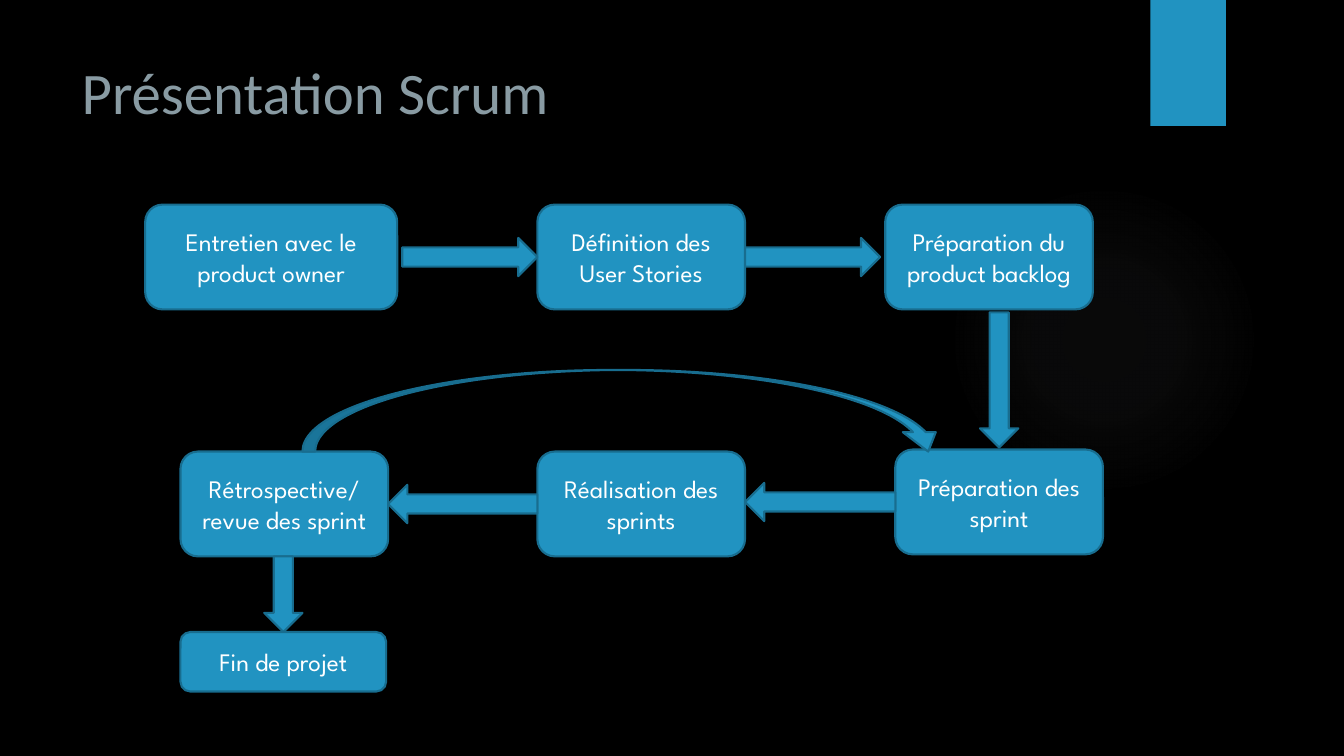
from lxml import etree
from pptx import Presentation, util as u
from pptx.dml.color import RGBColor
from pptx.enum import shapes, text

TITLE = "Présentation Scrum"
BLACK = RGBColor(0x00, 0x00, 0x00)
WHITE = RGBColor(0xFF, 0xFF, 0xFF)
GREY = RGBColor(0x89, 0x9B, 0xA3)
BLUE = RGBColor(0x21, 0x93, 0xC1)
DARK_BLUE = RGBColor(0x18, 0x6D, 0x8F)

WIDTH, HEIGHT = 13.33, 7.5
TOP_ROW, LOOP_ROW, END_ROW = 2.03, 4.48, 6.27
STEP_W, STEP_H = 2.06, 1.04
ARROW = 0.38

# step: (wording, left, top, width, height)
STEPS = {
    "interview": ("Entretien avec le product owner", 1.44, TOP_ROW, 2.5, STEP_H),
    "stories": ("Définition des User Stories", 5.33, TOP_ROW, STEP_W, STEP_H),
    "backlog": ("Préparation du product backlog", 8.78, TOP_ROW, STEP_W, STEP_H),
    "planning": ("Préparation des sprint", 8.88, LOOP_ROW - 0.02, STEP_W, STEP_H),
    "sprints": ("Réalisation des sprints", 5.33, LOOP_ROW, STEP_W, STEP_H),
    "review": ("Rétrospective/revue des sprint", 1.79, LOOP_ROW, STEP_W, STEP_H),
    "end": ("Fin de projet", 1.79, END_ROW, 2.04, 0.59),
}
# (from, to, direction, gap before, gap after)
FLOW = [
    ("interview", "stories", "right", 0.05, 0),
    ("stories", "backlog", "right", 0, 0.05),
    ("backlog", "planning", "down", 0.03, 0.02),
    ("planning", "sprints", "left", 0, 0),
    ("sprints", "review", "left", 0, 0),
    ("review", "end", "down", 0, 0),
]
ARROWS = {
    "right": shapes.MSO_SHAPE.RIGHT_ARROW,
    "left": shapes.MSO_SHAPE.LEFT_ARROW,
    "down": shapes.MSO_SHAPE.DOWN_ARROW,
}
GLOW_STOPS = [(0, 7), (36, 6), (69, 0)]  # position and opacity, per cent
DRAWING = "http://schemas.openxmlformats.org/drawingml/2006/main"


def apply(target, formats):
    """Set every attribute named in a dict of format values."""
    for name, value in formats.items():
        setattr(target, name, value)


def write(shape, wording, frame_format, font_format, color):
    """Put one formatted paragraph into a shape and return it."""
    frame = shape.text_frame
    frame.text = wording
    apply(frame, {"word_wrap": True, **frame_format})
    para = frame.paragraphs[0]
    apply(para.runs[0].font, font_format)
    para.runs[0].font.color.rgb = color
    return para


def add_block(page, kind, left, top, width, height, outlined=True):
    """Add a blue preset shape, with a dark outline if wanted."""
    block = page.shapes.add_shape(kind, *map(u.Inches, (left, top, width, height)))
    block.shadow.inherit = False
    block.fill.solid()
    block.fill.fore_color.rgb = BLUE
    if outlined:
        block.line.color.rgb = DARK_BLUE
        block.line.width = u.Pt(1.5)
    else:
        block.line.fill.background()
    return block


def add_glow(page, left, top, size):
    """Add a faint round glow that fades towards its edge."""
    glow = add_block(page, shapes.MSO_SHAPE.OVAL, left, top, size, size, False)
    stops = "".join(
        f'<a:gs pos="{pos * 1000}"><a:srgbClr val="818688">'
        f'<a:alpha val="{alpha * 1000}"/></a:srgbClr></a:gs>'
        for pos, alpha in GLOW_STOPS)
    middle = " ".join(f'{side}="50000"' for side in "ltrb")
    gradient = etree.fromstring(
        f'<a:gradFill xmlns:a="{DRAWING}"><a:gsLst>{stops}</a:gsLst>'
        f'<a:path path="circle"><a:fillToRect {middle}/></a:path></a:gradFill>')
    properties = glow.element.spPr
    properties.replace(properties.find(f"{{{DRAWING}}}solidFill"), gradient)


def add_step(page, wording, *place):
    """Add a rounded box with its centred wording."""
    box = add_block(page, shapes.MSO_SHAPE.ROUNDED_RECTANGLE, *place)
    para = write(box, wording, {"vertical_anchor": text.MSO_ANCHOR.MIDDLE},
                 {"name": "League Spartan", "size": u.Pt(18)}, WHITE)
    para.alignment = text.PP_ALIGN.CENTER


def add_flow(page, source, target, direction, before, after):
    """Fill the space between two steps with a block arrow."""
    _, left, top, width, height = STEPS[source]
    _, to_left, to_top, to_width, to_height = STEPS[target]
    if direction == "down":
        start, stop = top + height + before, to_top - after
        place = (to_left + (to_width - ARROW) / 2, start, ARROW, stop - start)
    else:
        if direction == "right":
            start, stop = left + width + before, to_left - after
        else:
            start, stop = to_left + to_width + after, left - before
        middle = min(top + height / 2, to_top + to_height / 2)
        place = (start, middle - ARROW / 2, stop - start, ARROW)
    add_block(page, ARROWS[direction], *place)


deck = Presentation()
apply(deck, {"slide_width": u.Inches(WIDTH), "slide_height": u.Inches(HEIGHT)})
page = deck.slides.add_slide(deck.slide_layouts[5])
page.background.fill.solid()
page.background.fill.fore_color.rgb = BLACK

add_glow(page, 9.41, 1.83, 3.08)
add_block(page, shapes.MSO_SHAPE.RECTANGLE, 11.41, 0, 0.75, HEIGHT / 6, False)

title = page.shapes.title
apply(title, {"left": u.Inches(0.71), "top": u.Inches(0.5),
              "width": u.Inches(10.29), "height": u.Inches(1.53)})
heading = write(title, TITLE, {"vertical_anchor": text.MSO_ANCHOR.TOP},
                {"name": "Calibri", "size": u.Pt(42)}, GREY)
heading.alignment = text.PP_ALIGN.LEFT

for step in STEPS.values():
    add_step(page, *step)
for link in FLOW:
    add_flow(page, *link)

loop = add_block(page, shapes.MSO_SHAPE.CURVED_DOWN_ARROW,
                 3, LOOP_ROW - 0.81, 6.37, 0.81)
for index, share in enumerate((0.156, 0.404, 0.238)):
    loop.adjustments[index] = share

deck.save("out.pptx")
